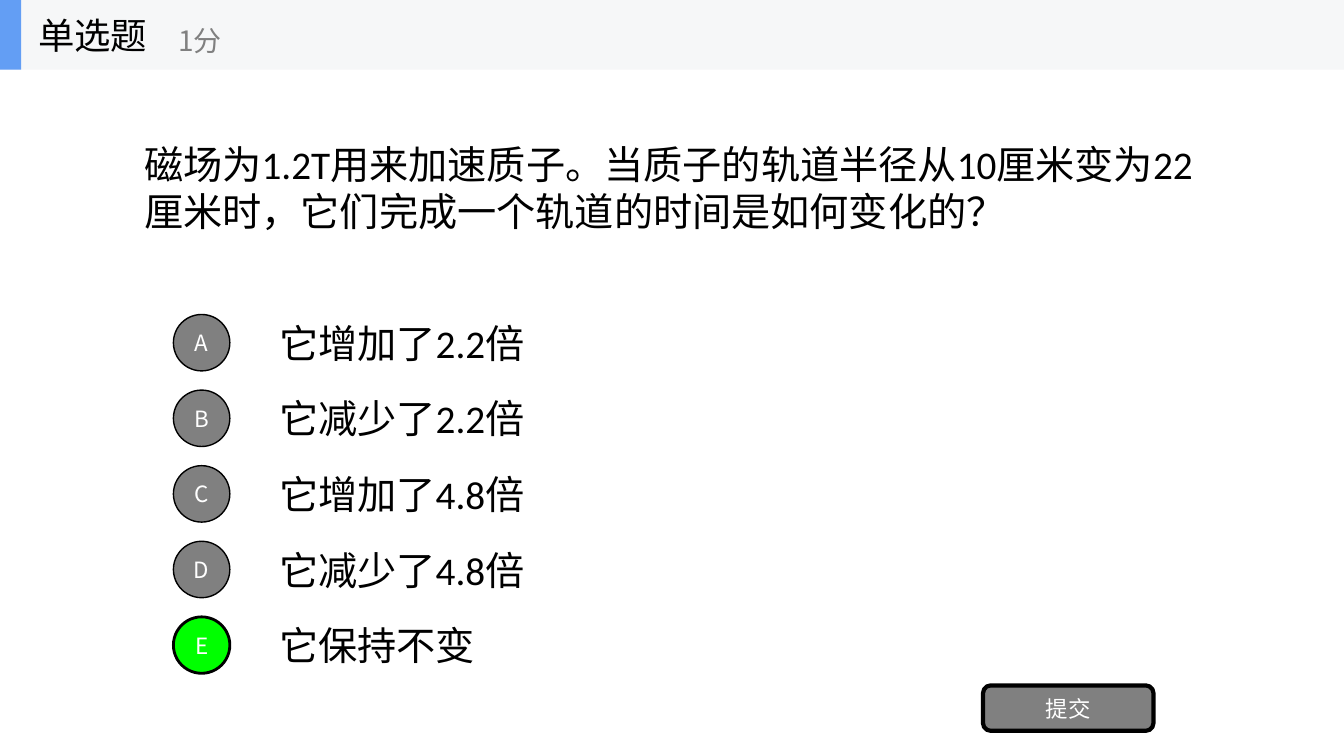
from dataclasses import dataclass

from lxml.etree import SubElement
from pptx import Presentation
from pptx.dml.color import RGBColor
from pptx.enum.shapes import MSO_SHAPE
from pptx.enum.text import MSO_ANCHOR, MSO_AUTO_SIZE, PP_ALIGN
from pptx.oxml.ns import qn
from pptx.util import Inches, Pt


@dataclass(frozen=True)
class Theme:
    black: str = "000000"
    white: str = "FFFFFF"
    gray: str = "808080"
    correct: str = "00FF00"
    band: str = "F6F7F8"
    accent: str = "639EF4"
    latin: str = "Calibri"
    chinese: str = "Noto Sans CJK SC"
    body_size: int = 28
    heading_size: int = 26
    points_size: int = 20
    label_size: int = 16


theme = Theme()


def write(box, text, *, size, font, color, align=PP_ALIGN.LEFT):
    frame = box.text_frame
    frame.word_wrap = True
    frame.auto_size = MSO_AUTO_SIZE.NONE
    frame.vertical_anchor = MSO_ANCHOR.MIDDLE
    para = frame.paragraphs[0]
    para.alignment = align
    span = para.add_run()
    span.text = text
    span.font.size = Pt(size)
    span.font.name = font
    span.font.color.rgb = RGBColor.from_string(color)
    # The Chinese characters follow the same font setting
    SubElement(span.font._element, qn("a:ea"), typeface=font)


def add_block(shapes, kind, place, fill, line_width=0):
    block = shapes.add_shape(kind, *map(Inches, place))
    block.shadow.inherit = False
    block.fill.solid()
    block.fill.fore_color.rgb = RGBColor.from_string(fill)
    if line_width:
        block.line.color.rgb = RGBColor.from_string(theme.black)
        block.line.width = Pt(line_width)
    else:
        block.line.fill.background()
    return block


deck = Presentation()
deck.slide_width, deck.slide_height = Inches(13.33), Inches(7.5)
page = deck.slides.add_slide(deck.slide_layouts[5])

# Question
question = page.shapes.title
question.left, question.top = Inches(1.33), Inches(0.69)
question.width, question.height = Inches(10.67), Inches(2.34)
write(question, "磁场为1.2T用来加速质子。当质子的轨道半径从10厘米变为22厘米时，它们完成一个轨道的时间是如何变化的？",
      size=theme.body_size, font=theme.latin, color=theme.black)

# Answer options, the correct one in green
options = ["它增加了2.2倍", "它减少了2.2倍", "它增加了4.8倍", "它减少了4.8倍", "它保持不变"]
correct_letter = "E"
for row, (letter, option) in enumerate(zip("ABCDE", options)):
    top = 3.05 + 0.75 * row
    answer = page.shapes.add_textbox(Inches(2.67), Inches(top), Inches(9.33), Inches(0.7))
    write(answer, option, size=theme.body_size, font=theme.latin, color=theme.black)

    is_correct = letter == correct_letter
    badge = add_block(page.shapes, MSO_SHAPE.OVAL, (1.72, top + 0.07, 0.56, 0.56),
                      theme.correct if is_correct else theme.gray,
                      line_width=2 if is_correct else 1)
    badge.text_frame.margin_left = badge.text_frame.margin_right = 0
    write(badge, letter, size=theme.label_size, font=theme.chinese,
          color=theme.white, align=PP_ALIGN.CENTER)

# Submit button
button = add_block(page.shapes, MSO_SHAPE.ROUNDED_RECTANGLE, (9.75, 6.8, 1.69, 0.45),
                   theme.gray, line_width=3)
write(button, "提交", size=theme.label_size, font=theme.chinese,
      color=theme.white, align=PP_ALIGN.CENTER)

# Header band with question type and points
header = page.shapes.add_group_shape().shapes
add_block(header, MSO_SHAPE.RECTANGLE, (0, 0, 13.33, 0.69), theme.band)
add_block(header, MSO_SHAPE.RECTANGLE, (0, 0, 0.21, 0.69), theme.accent)
question_type = header.add_textbox(Inches(0.28), 0, Inches(2.08), Inches(0.69))
write(question_type, "单选题", size=theme.heading_size, font=theme.chinese, color=theme.black)
points = header.add_textbox(Inches(1.67), Inches(0.12), Inches(2.5), Inches(0.56))
write(points, "1分", size=theme.points_size, font=theme.chinese, color=theme.gray)

deck.save("out.pptx")
